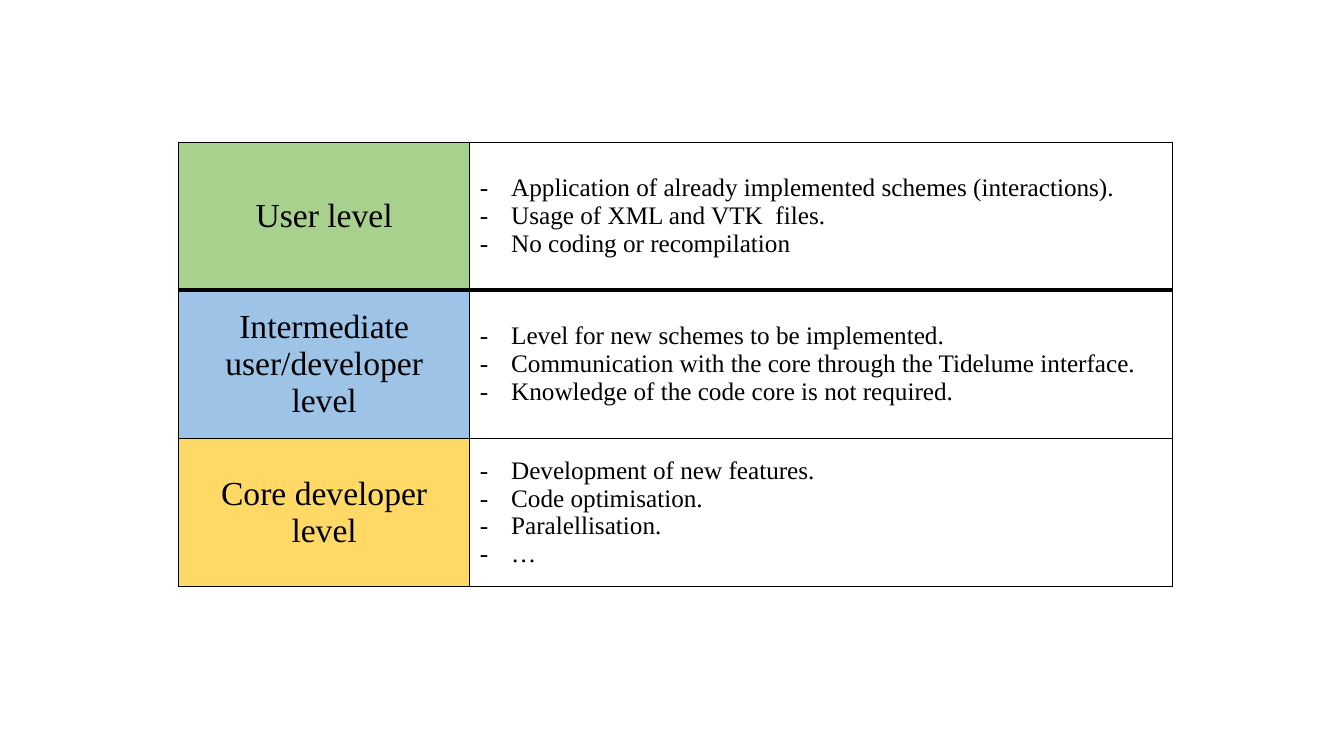
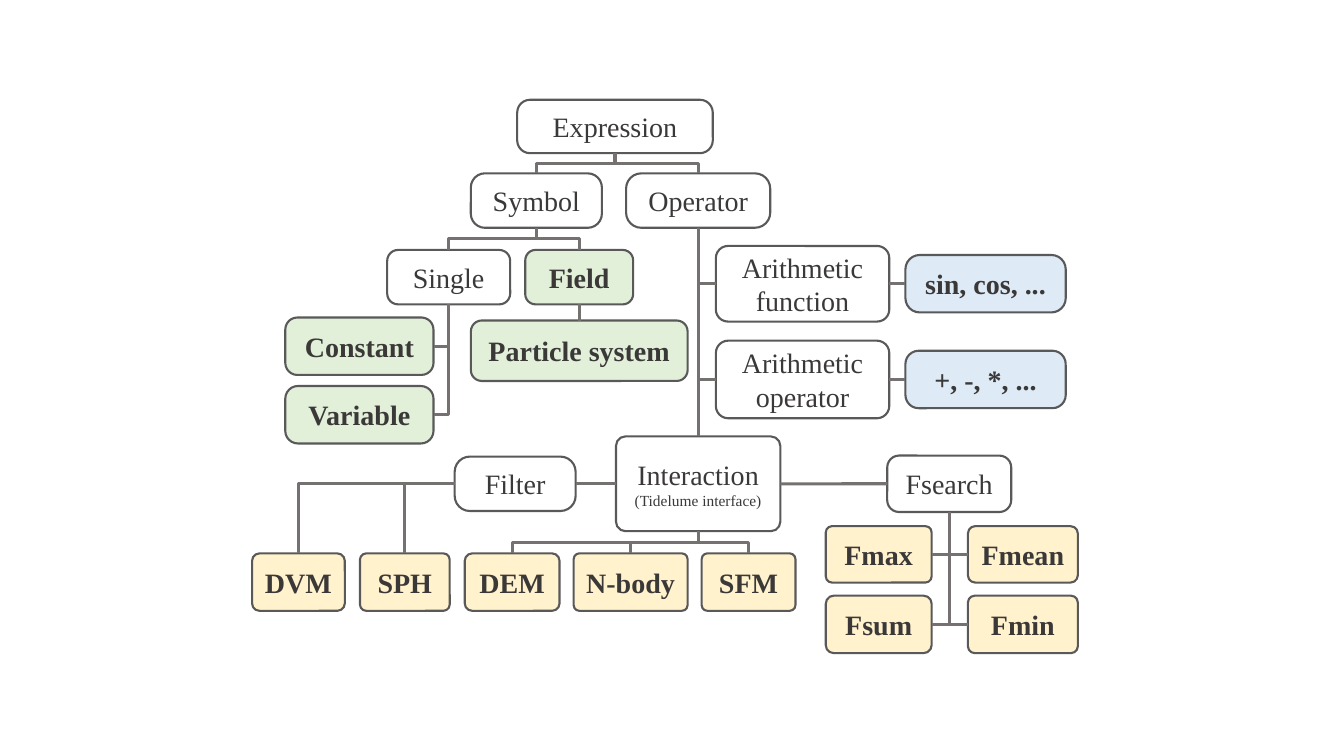
from lxml.etree import SubElement
from pptx import Presentation
from pptx.dml.color import RGBColor
from pptx.enum.shapes import MSO_CONNECTOR, MSO_SHAPE
from pptx.enum.text import MSO_ANCHOR, PP_ALIGN
from pptx.oxml.ns import qn
from pptx.util import Inches, Pt

FONT = "Times New Roman"
BLACK = RGBColor(0x00, 0x00, 0x00)
WHITE = RGBColor(0xFF, 0xFF, 0xFF)
DARK_TEXT = RGBColor(0x3B, 0x38, 0x38)
BOX_LINE = RGBColor(0x59, 0x59, 0x59)
CONNECTOR_GREY = RGBColor(0x76, 0x71, 0x71)
USER_GREEN = RGBColor(0xA9, 0xD1, 0x8E)
INTERMEDIATE_BLUE = RGBColor(0x9D, 0xC3, 0xE6)
CORE_YELLOW = RGBColor(0xFF, 0xD9, 0x66)
PALE_GREEN = RGBColor(0xE2, 0xF0, 0xD9)
PALE_BLUE = RGBColor(0xDE, 0xEB, 0xF7)
PALE_YELLOW = RGBColor(0xFF, 0xF2, 0xCC)

# Connection sites of a rounded rectangle
TOP, LEFT, BOTTOM, RIGHT = range(4)

LEVELS = [
    ("User level", USER_GREEN, [
        "Application of already implemented schemes (interactions).",
        "Usage of XML and VTK  files.",
        "No coding or recompilation",
    ]),
    ("Intermediate user/developer level", INTERMEDIATE_BLUE, [
        "Level for new schemes to be implemented.",
        "Communication with the core through the Tidelume interface.",
        "Knowledge of the code core is not required.",
    ]),
    ("Core developer level", CORE_YELLOW, [
        "Development of new features.",
        "Code optimisation.",
        "Paralellisation.",
        "…",
    ]),
]

# Boxes by fill: text, left, top, width, height, corner adjustment
BOXES = {
    WHITE: [
        ("Expression", 5.13, 0.99, 1.94, 0.53, 0.24),
        ("Symbol", 4.67, 1.72, 1.3, 0.54, 0.26),
        ("Operator", 6.21, 1.72, 1.43, 0.54, 0.28),
        ("Single", 3.84, 2.48, 1.22, 0.54, 0.2),
        ("Arithmetic function", 7.1, 2.44, 1.72, 0.75, 0.16),
        ("Arithmetic operator", 7.1, 3.38, 1.72, 0.77, 0.16),
        ("Interaction", 6.11, 4.33, 1.63, 0.94, 0.1),
        ("Filter", 4.51, 4.53, 1.2, 0.54, 0.28),
        ("Fsearch", 8.8, 4.52, 1.23, 0.56, 0.21),
    ],
    PALE_GREEN: [
        ("Field", 5.21, 2.48, 1.07, 0.54, 0.19),
        ("Particle system", 4.67, 3.18, 2.15, 0.6, 0.18),
        ("Constant", 2.83, 3.15, 1.47, 0.57, 0.21),
        ("Variable", 2.83, 3.83, 1.47, 0.57, 0.22),
    ],
    PALE_BLUE: [
        ("sin, cos, ...", 8.98, 2.53, 1.59, 0.57, 0.25),
        ("+, -, *, ...", 8.98, 3.48, 1.59, 0.57, 0.23),
    ],
    PALE_YELLOW: [
        ("DVM", 2.5, 5.49, 0.92, 0.57, 0.13),
        ("SPH", 3.57, 5.49, 0.89, 0.57, 0.11),
        ("DEM", 4.61, 5.49, 0.94, 0.57, 0.13),
        ("N-body", 5.69, 5.49, 1.13, 0.57, 0.1),
        ("SFM", 6.96, 5.49, 0.93, 0.57, 0.1),
        ("Fmax", 8.19, 5.22, 1.05, 0.56, 0.11),
        ("Fmean", 9.6, 5.22, 1.09, 0.56, 0.13),
        ("Fsum", 8.19, 5.91, 1.05, 0.57, 0.14),
        ("Fmin", 9.6, 5.91, 1.09, 0.57, 0.12),
    ],
}

# Links: parent, side it leaves by, side it arrives at, children
LINKS = [
    ("Expression", BOTTOM, TOP, ["Symbol", "Operator"]),
    ("Symbol", BOTTOM, TOP, ["Single", "Field"]),
    ("Single", BOTTOM, RIGHT, ["Constant", "Variable"]),
    ("Operator", BOTTOM, LEFT, ["Arithmetic function", "Arithmetic operator"]),
    ("Filter", LEFT, TOP, ["SPH", "DVM"]),
    ("Interaction", BOTTOM, TOP, ["DEM", "N-body", "SFM"]),
    ("Fsearch", BOTTOM, RIGHT, ["Fmax", "Fsum"]),
    ("Fsearch", BOTTOM, LEFT, ["Fmean", "Fmin"]),
]
STRAIGHT_LINKS = [
    ("Field", BOTTOM, TOP, ["Particle system"]),
    ("Operator", BOTTOM, TOP, ["Interaction"]),
    ("Arithmetic function", RIGHT, LEFT, ["sin, cos, ..."]),
    ("Arithmetic operator", RIGHT, LEFT, ["+, -, *, ..."]),
    ("Filter", RIGHT, LEFT, ["Interaction"]),
    ("Interaction", RIGHT, LEFT, ["Fsearch"]),
]


def format_paragraph(paragraph, size, color, alignment, bold=False):
    paragraph.alignment = alignment
    for run in paragraph.runs:
        run.font.name = FONT
        run.font.size = Pt(size)
        run.font.bold = bold
        run.font.color.rgb = color


def add_dash(paragraph):
    properties = paragraph._p.get_or_add_pPr()
    properties.set("marL", str(Inches(0.31)))
    properties.set("indent", str(-Inches(0.31)))
    SubElement(properties, qn("a:buFont")).set("typeface", FONT)
    SubElement(properties, qn("a:buChar")).set("char", "-")


def set_borders(cell, top, bottom):
    properties = cell._tc.get_or_add_tcPr()
    for side, width in (("L", 1), ("R", 1), ("T", top), ("B", bottom)):
        line = SubElement(properties, qn(f"a:ln{side}"), w=str(Pt(width)))
        fill = SubElement(line, qn("a:solidFill"))
        SubElement(fill, qn("a:srgbClr"), val=str(BLACK))


def fill_cell(cell, color, lines, size, alignment, dashed):
    cell.fill.solid()
    cell.fill.fore_color.rgb = color
    cell.vertical_anchor = MSO_ANCHOR.MIDDLE
    cell.text_frame.text = "\n".join(lines)
    for paragraph in cell.text_frame.paragraphs:
        format_paragraph(paragraph, size, BLACK, alignment)
        if dashed:
            add_dash(paragraph)


def add_level_table(slide):
    frame = slide.shapes.add_table(len(LEVELS), 2, Inches(1.77), Inches(1.41),
                                   Inches(9.86), Inches(4.41))
    table = frame.table
    table.first_row = table.horz_banding = False
    for column, width in zip(table.columns, (2.89, 6.97)):
        column.width = Inches(width)
    for index, (name, color, tasks) in enumerate(LEVELS):
        table.rows[index].height = Inches(1.47)
        level_cell, task_cell = table.rows[index].cells
        # A thick rule parts the users from the developers
        for cell in (level_cell, task_cell):
            set_borders(cell, top=3 if index == 1 else 1,
                        bottom=3 if index == 0 else 1)
        fill_cell(level_cell, color, [name], 24, PP_ALIGN.CENTER, False)
        fill_cell(task_cell, WHITE, tasks, 18, PP_ALIGN.LEFT, True)


def add_box(slide, color, text, left, top, width, height, corner):
    shape = slide.shapes.add_shape(
        MSO_SHAPE.ROUNDED_RECTANGLE, Inches(left), Inches(top),
        Inches(width), Inches(height))
    shape.adjustments[0] = corner
    shape.shadow.inherit = False
    shape.fill.solid()
    shape.fill.fore_color.rgb = color
    shape.line.color.rgb = BOX_LINE
    shape.line.width = Pt(1.5)
    text_frame = shape.text_frame
    text_frame.word_wrap = True
    text_frame.vertical_anchor = MSO_ANCHOR.MIDDLE
    text_frame.text = text
    format_paragraph(text_frame.paragraphs[0], 20, DARK_TEXT,
                     PP_ALIGN.CENTER, bold=color != WHITE)
    return shape


def add_link(slide, kind, parent, leave, child, arrive):
    connector = slide.shapes.add_connector(kind, 0, 0, 0, 0)
    connector.begin_connect(parent, leave)
    connector.end_connect(child, arrive)
    connector.line.color.rgb = CONNECTOR_GREY
    connector.line.width = Pt(2.25)
    SubElement(connector._element.spPr, qn("a:effectLst"))
    return connector


def turn_downward(connector):
    """Rotate an elbow so that it leaves its parent vertically."""
    goes_right = connector.end_x > connector.begin_x
    left, top = connector.left, connector.top
    width, height = connector.width, connector.height
    connector.left = left + (width - height) // 2
    connector.top = top + (height - width) // 2
    connector.width, connector.height = height, width
    transform = connector._element.spPr.find(qn("a:xfrm"))
    transform.set("rot", str((270 if goes_right else 90) * 60000))
    transform.set("flipH", "1" if goes_right else "0")


def add_elbow(slide, parent, leave, child, arrive):
    connector = add_link(slide, MSO_CONNECTOR.ELBOW, parent, leave, child, arrive)
    if (leave, arrive) != (BOTTOM, TOP):
        geometry = connector._element.spPr.find(qn("a:prstGeom"))
        geometry.set("prst", "bentConnector2")
    if leave == BOTTOM:
        turn_downward(connector)


def add_class_tree(slide):
    boxes = {}
    for color, rows in BOXES.items():
        for row in rows:
            boxes[row[0]] = add_box(slide, color, *row)
    # Second line of the interaction box
    paragraph = boxes["Interaction"].text_frame.add_paragraph()
    paragraph.text = "(Tidelume interface)"
    format_paragraph(paragraph, 11, DARK_TEXT, PP_ALIGN.CENTER)
    # Links between the boxes
    for parent, leave, arrive, children in LINKS:
        for child in children:
            add_elbow(slide, boxes[parent], leave, boxes[child], arrive)
    for parent, leave, arrive, children in STRAIGHT_LINKS:
        for child in children:
            add_link(slide, MSO_CONNECTOR.STRAIGHT, boxes[parent], leave,
                     boxes[child], arrive)


def main():
    presentation = Presentation()
    presentation.slide_width = Inches(13.33)
    presentation.slide_height = Inches(7.5)
    blank_layout = presentation.slide_layouts[6]
    for build in (add_level_table, add_class_tree):
        build(presentation.slides.add_slide(blank_layout))
    presentation.save("out.pptx")


if __name__ == "__main__":
    main()
